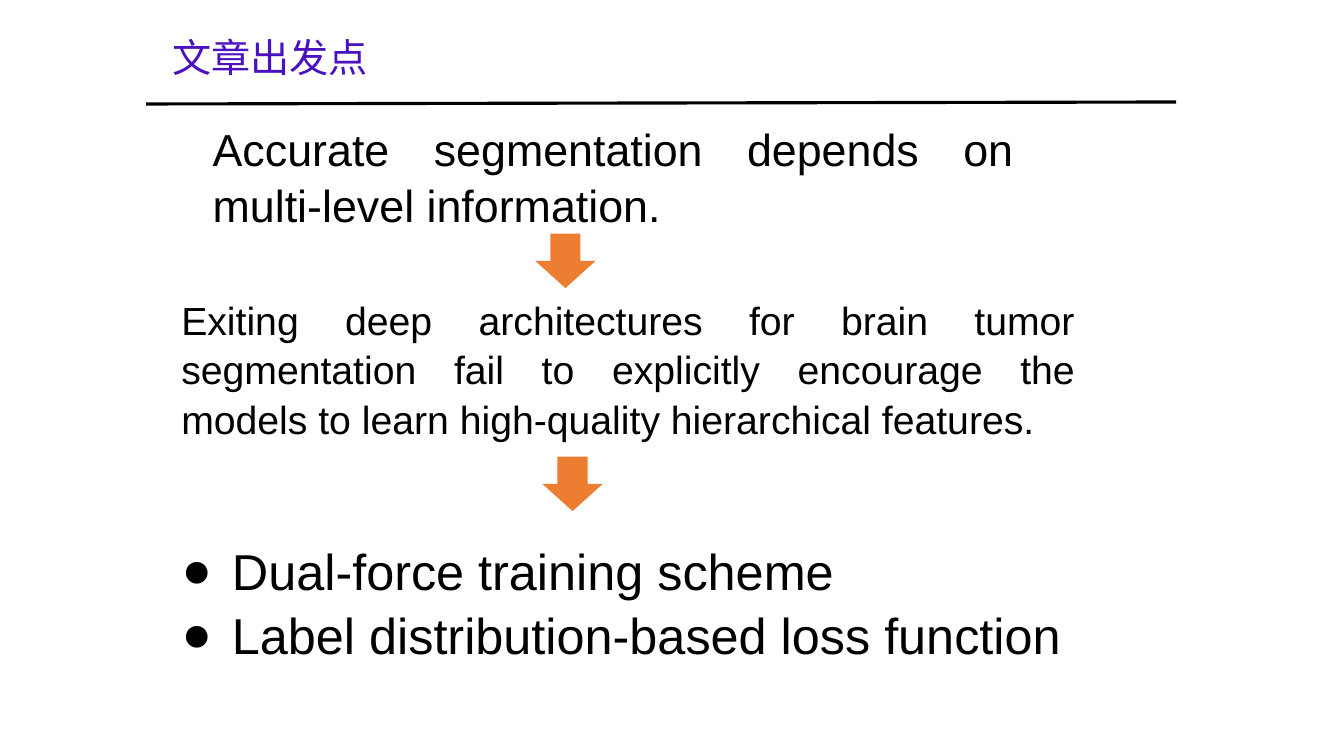
from dataclasses import dataclass

from lxml.etree import SubElement
from pptx import Presentation
from pptx.dml.color import RGBColor
from pptx.enum.shapes import MSO_CONNECTOR as Connector, MSO_SHAPE as Preset
from pptx.enum.text import MSO_ANCHOR as Anchor, MSO_AUTO_SIZE as AutoSize, PP_ALIGN as Align
from pptx.oxml.ns import qn
from pptx.util import Cm, Pt


@dataclass(frozen=True)
class Box:
    left: float
    top: float
    width: float
    height: float

    def lengths(self) -> tuple:
        return Cm(self.left), Cm(self.top), Cm(self.width), Cm(self.height)


@dataclass(frozen=True)
class Statement:
    box: Box
    text: str
    size: int


STATEMENTS = [
    Statement(Box(5.11, 2.87, 20.7, 3.76),
              "Accurate segmentation depends on multi-level information.", 32),
    Statement(Box(4.32, 7.28, 23.01, 3.84),
              "Exiting deep architectures for brain tumor segmentation fail to explicitly "
              "encourage the models to learn high-quality hierarchical features.", 28),
]
ARROWS = [Box(13.49, 5.89, 1.52, 1.37), Box(13.67, 11.51, 1.52, 1.37)]
CONTRIBUTIONS = ["Dual-force training scheme", "Label distribution-based loss function"]


def colour(value: str) -> RGBColor:
    return RGBColor.from_string(value)


def place(shape, box: Box) -> None:
    shape.left, shape.top, shape.width, shape.height = box.lengths()


def add_bullet(paragraph, symbol: str) -> None:
    properties = paragraph._p.get_or_add_pPr()
    properties.set("marL", str(Cm(1.27)))
    properties.set("indent", str(-Cm(1.27)))
    SubElement(properties, qn("a:buFont")).set("typeface", "Arial")
    SubElement(properties, qn("a:buChar")).set("char", symbol)


def write(shape, *lines: str, size: int, font: str = "Arial", ink: str = "000000",
          align: Align = Align.JUSTIFY, anchor: Anchor = Anchor.TOP,
          spacing: float = 1.05, bullet: str = "") -> None:
    frame = shape.text_frame
    frame.word_wrap = True
    frame.auto_size = AutoSize.NONE
    frame.vertical_anchor = anchor
    for index, line in enumerate(lines):
        paragraph = frame.add_paragraph() if index else frame.paragraphs[0]
        if bullet:
            add_bullet(paragraph, bullet)
        paragraph.alignment = align
        paragraph.line_spacing = spacing
        paragraph.space_before = Pt(0)
        run = paragraph.add_run()
        run.text = line
        run.font.size = Pt(size)
        run.font.name = font
        run.font.color.rgb = colour(ink)
        SubElement(run._r.get_or_add_rPr(), qn("a:ea")).set("typeface", font)


def add_rule(slide) -> None:
    rule = slide.shapes.add_connector(
        Connector.STRAIGHT, Cm(3.68), Cm(2.62), Cm(29.64), Cm(2.57))
    rule.line.color.rgb = colour("000000")
    rule.line.width = Pt(2.25)
    SubElement(rule._element.spPr, qn("a:effectLst"))


def add_arrow(slide, box: Box) -> None:
    arrow = slide.shapes.add_shape(Preset.DOWN_ARROW, *box.lengths())
    arrow.shadow.inherit = False
    arrow.fill.solid()
    arrow.fill.fore_color.rgb = colour("ED7D31")
    arrow.line.fill.background()


def main() -> None:
    deck = Presentation()
    deck.slide_width, deck.slide_height = Cm(33.87), Cm(19.05)
    slide = deck.slides.add_slide(deck.slide_layouts[1])

    add_rule(slide)
    heading = slide.shapes.title
    place(heading, Box(4.09, 0.71, 13.34, 1.45))
    write(heading, "文章出发点", size=28, font="Roboto", ink="4B11BF",
          align=Align.LEFT, anchor=Anchor.MIDDLE, spacing=1.0)

    for statement in STATEMENTS:
        claim = slide.shapes.add_textbox(*statement.box.lengths())
        write(claim, statement.text, size=statement.size)
    for box in ARROWS:
        add_arrow(slide, box)

    contributions = slide.placeholders[1]
    place(contributions, Box(4.32, 13.41, 23.01, 3.33))
    write(contributions, *CONTRIBUTIONS, size=36, bullet="●")

    deck.save("out.pptx")


if __name__ == "__main__":
    main()
